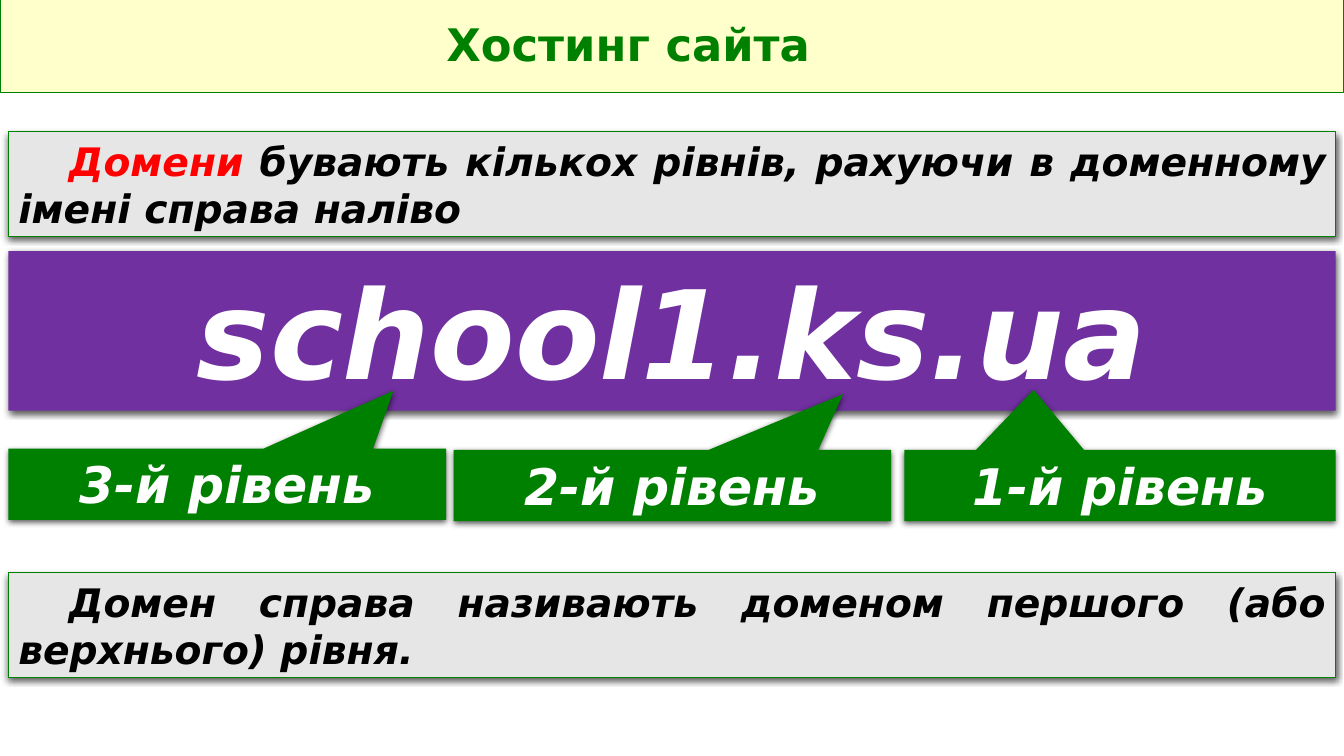
from dataclasses import dataclass

from lxml import etree
from pptx import Presentation
from pptx.dml.color import RGBColor
from pptx.enum.shapes import MSO_SHAPE
from pptx.enum.text import MSO_ANCHOR, MSO_AUTO_SIZE, PP_ALIGN
from pptx.oxml.ns import qn
from pptx.util import Emu, Inches, Pt

RECTANGLE = MSO_SHAPE.RECTANGLE
CALLOUT = MSO_SHAPE.RECTANGULAR_CALLOUT
CENTER, JUSTIFY = PP_ALIGN.CENTER, PP_ALIGN.JUSTIFY
TOP, MIDDLE = MSO_ANCHOR.TOP, MSO_ANCHOR.MIDDLE
GROW = MSO_AUTO_SIZE.SHAPE_TO_FIT_TEXT

FONT = "DejaVu Sans"
GREEN, CREAM, GREY, PURPLE = "008000", "FFFFCC", "E7E6E6", "7030A0"
BLACK, WHITE, RED = "000000", "FFFFFF", "FF0000"

COLUMNS, ROWS = 160, 90
CELL = Inches(7.5) / ROWS
MARGIN = 1
CONTENT_WIDTH = COLUMNS - 2 * MARGIN


@dataclass(frozen=True)
class Area:
    """A rectangle measured in grid columns and rows."""
    column: float
    row: float
    columns: float
    rows: float

    def emu(self) -> list[Emu]:
        return [Emu(round(n * CELL)) for n in (self.column, self.row, self.columns, self.rows)]


@dataclass(frozen=True)
class Phrase:
    text: str
    size: int
    color: str
    italic: bool = True


@dataclass(frozen=True)
class Panel:
    area: Area
    fill: str
    phrases: tuple[Phrase, ...]
    line: str | None = None
    align: PP_ALIGN = CENTER
    indent: float = 0
    pointer: tuple[float, float] | None = None


def rgb(color: str) -> RGBColor:
    return RGBColor.from_string(color)


def write(frame, phrases: tuple[Phrase, ...], align: PP_ALIGN, anchor: MSO_ANCHOR):
    frame.word_wrap = True
    frame.vertical_anchor = anchor
    paragraph = frame.paragraphs[0]
    paragraph.alignment = align
    for phrase in phrases:
        run = paragraph.add_run()
        run.text = phrase.text
        font = run.font
        font.name, font.size = FONT, Pt(phrase.size)
        font.bold, font.italic = True, phrase.italic
        font.color.rgb = rgb(phrase.color)
    return paragraph


def add_block(slide, kind: MSO_SHAPE, area: Area, fill: str, line: str | None):
    block = slide.shapes.add_shape(kind, *area.emu())
    block.shadow.inherit = False
    block.fill.solid()
    block.fill.fore_color.rgb = rgb(fill)
    if line:
        block.line.color.rgb = rgb(line)
        block.line.width = Pt(0.75)
    else:
        block.line.fill.background()
    return block


def cast_shadow(block) -> None:
    effects = block.element.spPr.find(qn("a:effectLst"))
    shadow = etree.SubElement(effects, qn("a:outerShdw"), blurRad=str(Pt(4.5)),
                              dist=str(Pt(1.5)), dir="5400000", algn="ctr", rotWithShape="0")
    color = etree.SubElement(shadow, qn("a:srgbClr"), val=BLACK)
    etree.SubElement(color, qn("a:alpha"), val="63000")


def add_panel(slide, panel: Panel) -> None:
    kind = CALLOUT if panel.pointer else RECTANGLE
    block = add_block(slide, kind, panel.area, panel.fill, panel.line)
    cast_shadow(block)
    for index, offset in enumerate(panel.pointer or ()):
        block.adjustments[index] = offset
    paragraph = write(block.text_frame, panel.phrases, panel.align, TOP)
    if panel.indent:
        properties = paragraph._p.get_or_add_pPr()
        properties.set("marL", "0")
        properties.set("indent", str(Inches(panel.indent)))
    block.text_frame.auto_size = GROW


def statement(row: float, *phrases: Phrase) -> Panel:
    return Panel(Area(MARGIN, row, CONTENT_WIDTH, 12.5), GREY, phrases, GREEN, JUSTIFY, 0.5)


def level(number: int, column: float, row: float, columns: float,
          pointer: tuple[float, float]) -> Panel:
    label = Phrase(f"{number}-й рівень", 36, WHITE)
    return Panel(Area(column, row, columns, 8.5), GREEN, (label,), pointer=pointer)


PANELS = (
    statement(15.7, Phrase("Домени", 28, RED),
              Phrase(" бувають кількох рівнів, рахуючи в доменному імені справа наліво", 28, BLACK)),
    Panel(Area(MARGIN, 29.9, CONTENT_WIDTH, 19), PURPLE, (Phrase("school1.ks.ua", 88, WHITE),)),
    level(1, 107.65, 53.55, 51.35, (-0.2, -1.34)),
    level(2, 54, 53.55, 52.1, (0.39, -1.28)),
    level(3, MARGIN, 53.4, 52.1, (0.38, -1.31)),
    statement(68.2, Phrase("Домен справа називають доменом першого (або верхнього) рівня.",
                           28, BLACK)),
)


def add_header(slide) -> None:
    add_block(slide, RECTANGLE, Area(0, 0, COLUMNS, 11), CREAM, GREEN)
    title = slide.shapes.add_textbox(*Area(15.4, 2.1, 118.8, 7).emu())
    heading = Phrase("Хостинг сайта", 32, GREEN, italic=False)
    write(title.text_frame, (heading,), CENTER, MIDDLE).line_spacing = 0.9


def main() -> None:
    deck = Presentation()
    deck.slide_width, deck.slide_height = Emu(round(COLUMNS * CELL)), Emu(round(ROWS * CELL))
    slide = deck.slides.add_slide(deck.slide_layouts[6])
    add_header(slide)
    for panel in PANELS:
        add_panel(slide, panel)
    deck.save("out.pptx")


if __name__ == "__main__":
    main()
